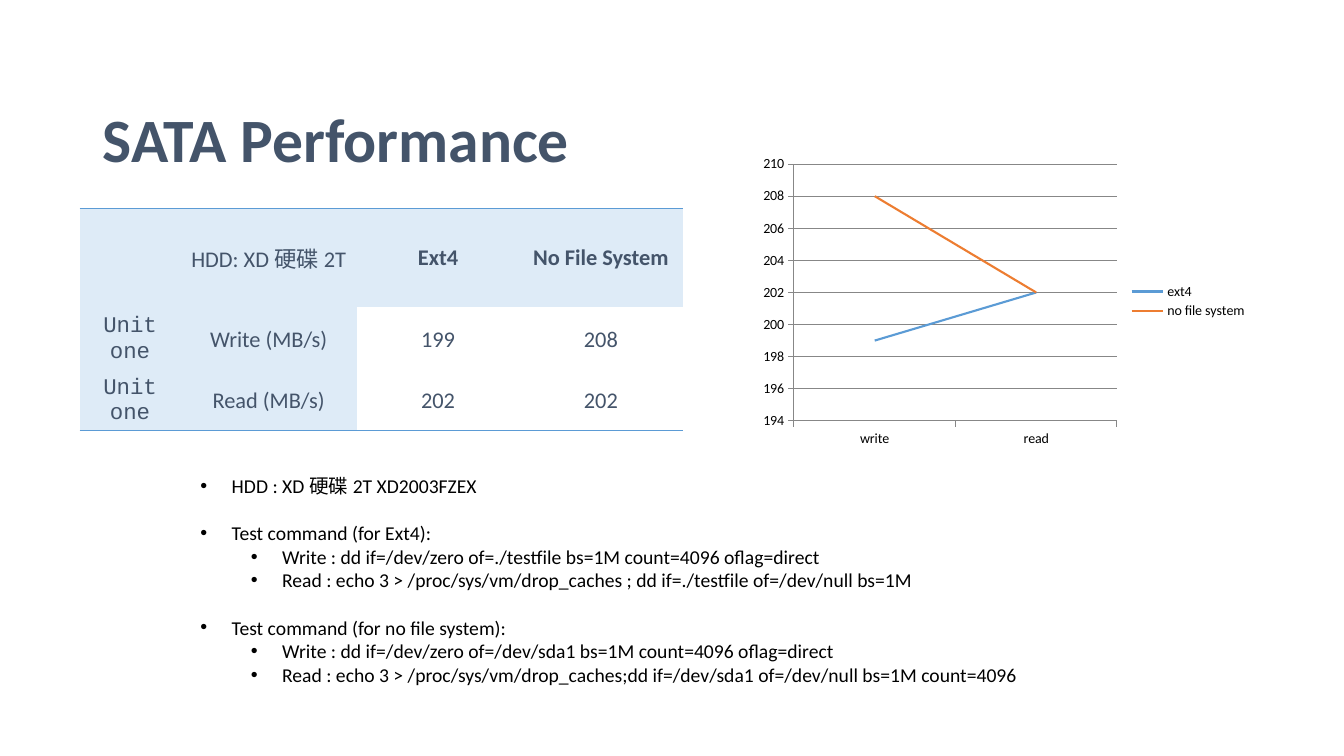
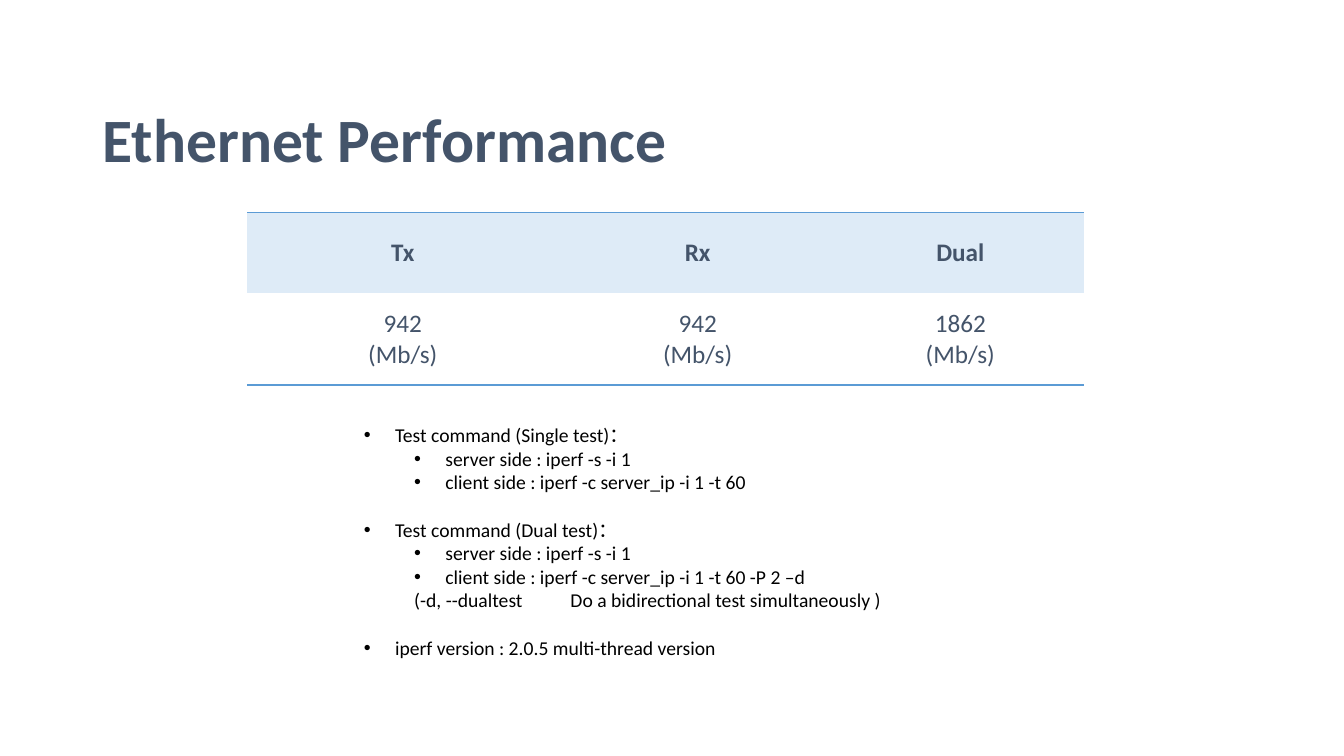
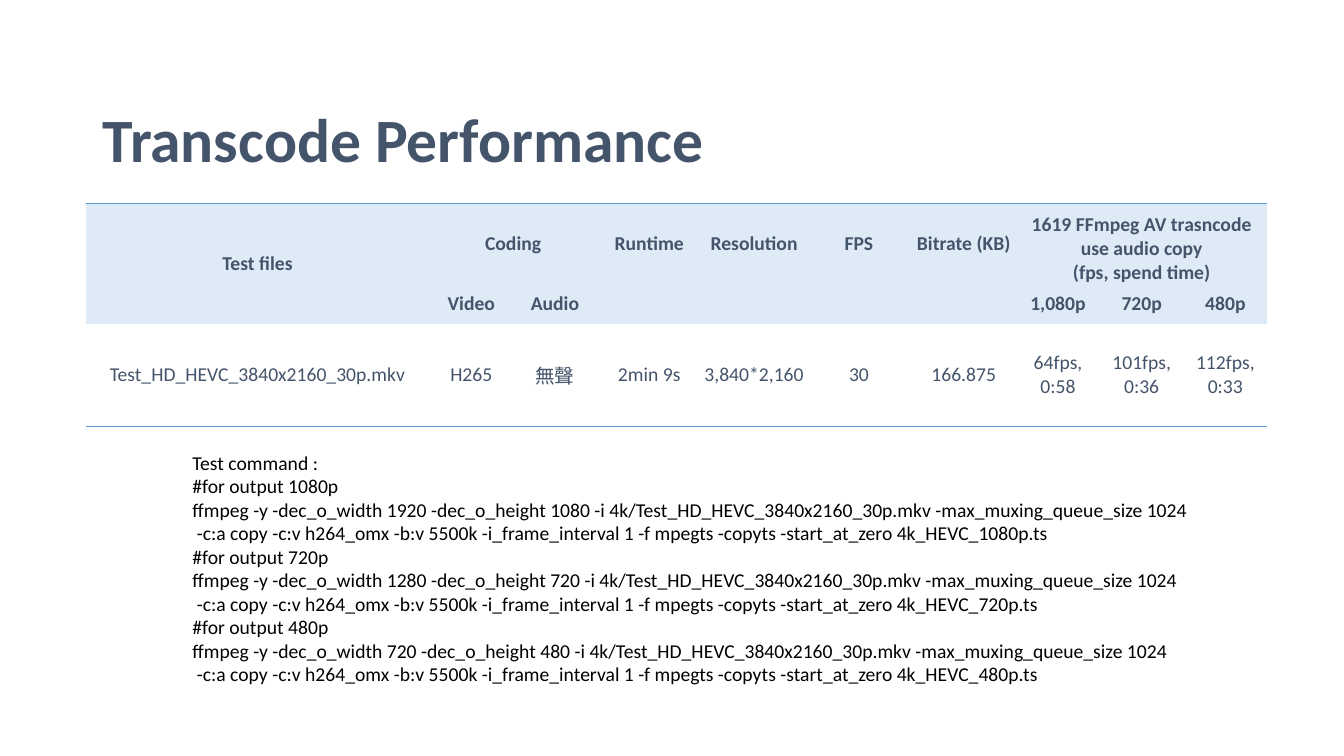
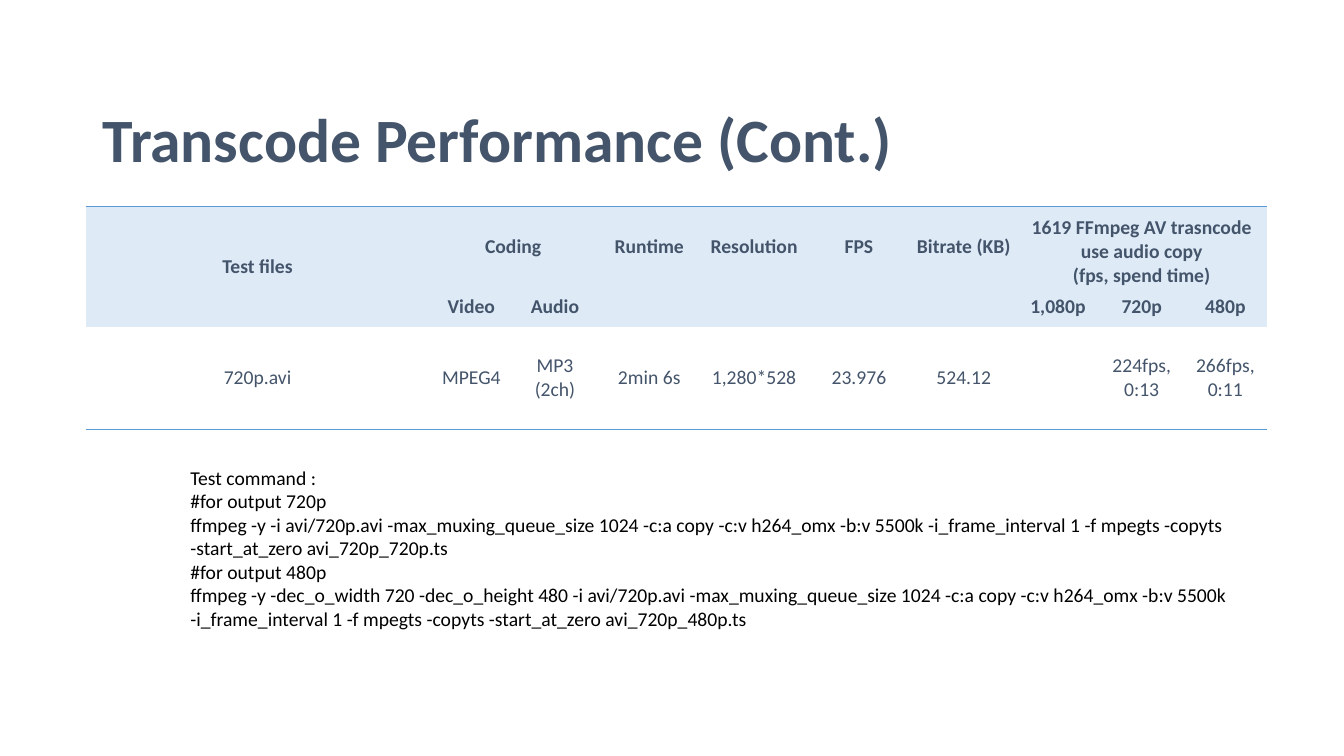
from lxml import etree
from pptx import Presentation
from pptx.chart.data import CategoryChartData
from pptx.dml.color import RGBColor
from pptx.enum.chart import XL_CHART_TYPE, XL_LEGEND_POSITION, XL_TICK_MARK
from pptx.enum.text import MSO_ANCHOR, MSO_AUTO_SIZE, PP_ALIGN
from pptx.oxml.ns import qn
from pptx.util import Inches, Pt

FONT, MONO = "Calibri", "Courier New"
SLATE, BLACK, GRAY = "44546A", "000000", "878787"
BLUE, ORANGE, PALE = "5B9BD5", "ED7D31", "DEEBF7"
NO_STYLE = "{2D5ABB26-0587-4C30-8999-92F81FD0307C}"

# Note paragraph kinds: left margin, first-line indent, bullet
INDENTS = {
    "top": (0.31, -0.31, True),
    "sub": (0.81, -0.31, True),
    "term": (2.05, -1.55, False),
    "plain": (0, 0, False),
}

CODEC_COLS = [3.41] + [0.83] * 2 + [1.04] * 4 + [0.83] * 3
CODEC_ROWS = [0.8, 0.39, 1.02]
CODEC_HEAD = [
    ["Test files", "Coding", "", "Runtime", "Resolution", "FPS", "Bitrate (KB)",
     "1619 FFmpeg AV trasncode\nuse audio copy\n(fps, spend time)", "", ""],
    ["", "Video", "Audio", "", "", "", "", "1,080p", "720p", "480p"],
]
CODEC_MERGES = [((0, 0), (1, 0)), ((0, 1), (0, 2)), ((0, 7), (0, 9))]

HD_INPUT = "4k/Test_HD_HEVC_3840x2160_30p.mkv"
HD_NOTES = [("plain", "Test command :")]
for width, height in [(1920, 1080), (1280, 720), (720, 480)]:
    HD_NOTES += [
        ("plain", f"#for output {height}p"),
        ("plain", f"ffmpeg -y -dec_o_width {width} -dec_o_height {height} "
                  f"-i {HD_INPUT} -max_muxing_queue_size 1024"),
        ("plain", " -c:a copy -c:v h264_omx -b:v 5500k -i_frame_interval 1 -f mpegts "
                  f"-copyts -start_at_zero 4k_HEVC_{height}p.ts"),
    ]

AVI_NOTES = [("plain", "Test command :")]
for height, scale in [(720, ""), (480, "-dec_o_width 720 -dec_o_height 480 ")]:
    AVI_NOTES += [
        ("plain", f"#for output {height}p"),
        ("plain", f"ffmpeg -y {scale}-i avi/720p.avi -max_muxing_queue_size 1024 -c:a copy "
                  "-c:v h264_omx -b:v 5500k -i_frame_interval 1 -f mpegts -copyts "
                  f"-start_at_zero avi_720p_{height}p.ts"),
    ]

SLIDES = [
    {
        "title": "SATA Performance",
        "table_at": (0.79, 2.07), "size": 16, "head_rows": 1, "head_cols": 2,
        "cols": [1, 1.75, 1.61, 1.62], "rows": [0.98, 0.64, 0.58], "merges": [],
        "cells": [
            ["", "HDD: XD 硬碟 2T", "Ext4", "No File System"],
            ["Unit one", "Write (MB/s)", "199", "208"],
            ["Unit one", "Read (MB/s)", "202", "202"],
        ],
        "notes_at": (1.89, 4.65, 9.3, 2.46), "wrap": True,
        "notes": [
            ("top", "HDD : XD 硬碟 2T XD2003FZEX"),
            ("top", "Test command (for Ext4):"),
            ("sub", "Write : dd if=/dev/zero of=./testfile bs=1M count=4096 oflag=direct"),
            ("sub", "Read : echo 3 > /proc/sys/vm/drop_caches ; dd if=./testfile of=/dev/null bs=1M"),
            ("top", "Test command (for no file system):"),
            ("sub", "Write : dd if=/dev/zero of=/dev/sda1 bs=1M count=4096 oflag=direct"),
            ("sub", "Read : echo 3 > /proc/sys/vm/drop_caches;dd if=/dev/sda1 of=/dev/null bs=1M count=4096"),
        ],
    },
    {
        "title": "Ethernet Performance",
        "table_at": (2.45, 2.11), "size": 18, "head_rows": 1, "head_cols": 0,
        "cols": [3.09, 2.76, 2.45], "rows": [0.8, 0.91], "merges": [],
        "cells": [
            ["Tx", "Rx", "Dual"],
            ["942\n(Mb/s)", "942\n(Mb/s)", "1862\n(Mb/s)"],
        ],
        "notes_at": (3.51, 4.15, 5.75, 2.46), "wrap": True,
        "notes": [
            ("top", "Test command (Single test)："),
            ("sub", "server side : iperf -s -i 1"),
            ("sub", "client side : iperf -c server_ip -i 1 -t 60"),
            ("top", "Test command (Dual test)："),
            ("sub", "server side : iperf -s -i 1"),
            ("sub", "client side : iperf -c server_ip -i 1 -t 60 -P 2 –d"),
            ("term", "(-d, --dualtest\tDo a bidirectional test simultaneously )"),
            ("top", "iperf version : 2.0.5 multi-thread version"),
        ],
    },
    {
        "title": "Transcode Performance",
        "table_at": (0.85, 2.02), "size": 14, "head_rows": 2, "head_cols": 0,
        "cols": CODEC_COLS, "rows": CODEC_ROWS, "merges": CODEC_MERGES,
        "cells": CODEC_HEAD + [
            ["Test_HD_HEVC_3840x2160_30p.mkv", "H265", "無聲", "2min 9s", "3,840*2,160",
             "30", "166.875", "64fps,\n0:58", "101fps,\n0:36", "112fps,\n0:33"],
        ],
        "notes_at": (1.81, 4.42, 10.22, 2.69), "wrap": False, "notes": HD_NOTES,
    },
    {
        "title": "Transcode Performance (Cont.)",
        "table_at": (0.85, 2.05), "size": 14, "head_rows": 2, "head_cols": 0,
        "cols": CODEC_COLS, "rows": CODEC_ROWS, "merges": CODEC_MERGES,
        "cells": CODEC_HEAD + [
            ["720p.avi", "MPEG4", "MP3\n(2ch)", "2min 6s", "1,280*528",
             "23.976", "524.12", "", "224fps, 0:13", "266fps, 0:11"],
        ],
        "notes_at": (1.79, 4.57, 10.54, 1.75), "wrap": True, "notes": AVI_NOTES,
    },
]


def rgb(color):
    return RGBColor.from_string(color)


def style_font(font, size, color, bold=False, name=FONT):
    font.name, font.size, font.bold = name, Pt(size), bold
    font.color.rgb = rgb(color)


prs = Presentation()
prs.slide_width, prs.slide_height = Inches(13.33), Inches(7.5)

for page in SLIDES:
    s = prs.slides.add_slide(prs.slide_layouts[6])

    # Title
    tf = s.shapes.add_textbox(Inches(0.92), Inches(0.98), Inches(11.5), Inches(0.86)).text_frame
    tf.word_wrap = True
    tf.vertical_anchor = MSO_ANCHOR.MIDDLE
    tf.text = page["title"]
    p = tf.paragraphs[0]
    p.line_spacing = 0.9
    style_font(p.runs[0].font, 44, SLATE, bold=True)

    # Table
    cols, rows = page["cols"], page["rows"]
    left, top = page["table_at"]
    frame = s.shapes.add_table(len(rows), len(cols), Inches(left), Inches(top),
                               Inches(sum(cols)), Inches(sum(rows)))
    table = frame.table
    table.first_row = table.horz_banding = False
    next(frame._element.iter(qn("a:tableStyleId"))).text = NO_STYLE
    for column, width in zip(table.columns, cols):
        column.width = Inches(width)
    for row, height in zip(table.rows, rows):
        row.height = Inches(height)
    for r, texts in enumerate(page["cells"]):
        for c, text in enumerate(texts):
            cell = table.cell(r, c)
            in_head_row, in_head_col = r < page["head_rows"], c < page["head_cols"]
            cell.margin_left = cell.margin_right = cell.margin_top = cell.margin_bottom = 0
            cell.vertical_anchor = MSO_ANCHOR.MIDDLE
            edge = {0: "a:lnT", len(rows) - 1: "a:lnB"}.get(r)
            if edge:
                ln = etree.SubElement(cell._tc.get_or_add_tcPr(), qn(edge), w=str(Pt(1)))
                fill = etree.SubElement(ln, qn("a:solidFill"))
                etree.SubElement(fill, qn("a:srgbClr"), val=BLUE)
            if in_head_row or in_head_col:
                cell.fill.solid()
                cell.fill.fore_color.rgb = rgb(PALE)
            else:
                cell.fill.background()
            if text:
                cell.text = text
                for p in cell.text_frame.paragraphs:
                    p.alignment = PP_ALIGN.CENTER
                    style_font(p.runs[0].font, page["size"], SLATE,
                               bold=in_head_row and not in_head_col,
                               name=MONO if in_head_col and c == 0 else FONT)
    for first, last in page["merges"]:
        table.cell(*first).merge(table.cell(*last))
    if page["merges"]:
        table.cell(0, 7).vertical_anchor = MSO_ANCHOR.BOTTOM

    # Notes
    tf = s.shapes.add_textbox(*map(Inches, page["notes_at"])).text_frame
    tf.word_wrap = page["wrap"]
    tf.auto_size = MSO_AUTO_SIZE.SHAPE_TO_FIT_TEXT
    for i, (kind, text) in enumerate(page["notes"]):
        p = tf.add_paragraph() if i else tf.paragraphs[0]
        margin, indent, bullet = INDENTS[kind]
        pPr = p._p.get_or_add_pPr()
        pPr.set("marL", str(Inches(margin)))
        pPr.set("indent", str(Inches(indent)))
        if bullet:
            etree.SubElement(pPr, qn("a:buFont"), typeface="Arial")
            etree.SubElement(pPr, qn("a:buChar"), char="•")
        if kind == "top" and i:
            p.space_before = Pt(17)
        p.text = text
        style_font(p.runs[0].font, 14, BLACK)

# Chart on the SATA slide
data = CategoryChartData()
data.categories = ["write", "read"]
data.add_series("ext4", [199, 202])
data.add_series("no file system", [208, 202])
chart = prs.slides[0].shapes.add_chart(XL_CHART_TYPE.LINE, Inches(7.47), Inches(1.49),
                                       Inches(5), Inches(3), data).chart
style_font(chart.font, 10, BLACK)
chart.has_title = False
chart.has_legend = True
chart.legend.position = XL_LEGEND_POSITION.RIGHT
chart.legend.include_in_layout = False
chart.plots[0].vary_by_categories = False
for series, color in zip(chart.plots[0].series, [BLUE, ORANGE]):
    series.smooth = False
    series.format.line.width = Pt(1.5)
    series.format.line.color.rgb = rgb(color)
axis = chart.value_axis
axis.minimum_scale, axis.maximum_scale, axis.major_unit = 194, 210, 2
axis.has_major_gridlines = True
for line in (axis.major_gridlines.format.line, axis.format.line, chart.category_axis.format.line):
    line.width = Pt(0.75)
    line.color.rgb = rgb(GRAY)
for axis in (chart.value_axis, chart.category_axis):
    axis.major_tick_mark = XL_TICK_MARK.OUTSIDE

prs.save("out.pptx")
